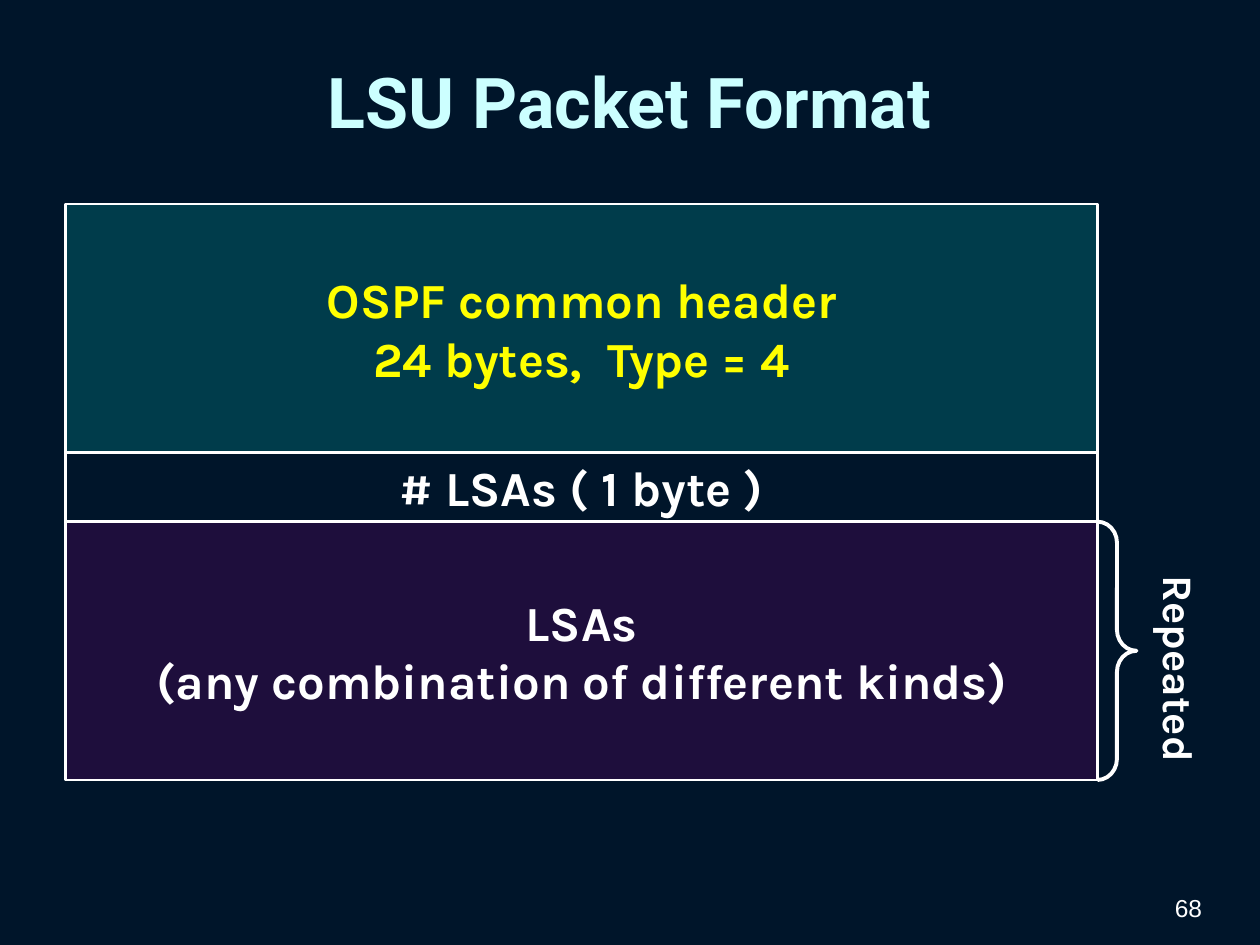
from lxml import etree
from pptx import Presentation
from pptx.dml.color import RGBColor
from pptx.enum.shapes import MSO_SHAPE
from pptx.enum.text import MSO_ANCHOR, PP_ALIGN
from pptx.oxml.ns import qn
from pptx.util import Inches, Pt

RECTANGLE, BRACE = MSO_SHAPE.RECTANGLE, MSO_SHAPE.RIGHT_BRACE
CENTER, RIGHT = PP_ALIGN.CENTER, PP_ALIGN.RIGHT
MIDDLE, BOTTOM, TOP = MSO_ANCHOR.MIDDLE, MSO_ANCHOR.BOTTOM, MSO_ANCHOR.TOP

# Content: packet fields from top to bottom (text, height, fill, text colour)
TITLE = "LSU Packet Format"
FIELDS = [
    ("OSPF common header\n24 bytes,  Type = 4", 1.97, "teal", "yellow"),
    ("# LSAs ( 1 byte )", 0.55, None, "white"),
    ("LSAs\n(any combination of different kinds)", 2.05, "purple", "white"),
]
REPEAT_LABEL = "Repeated"
PAGE_NUMBER = "68"

THEME = {
    "background": "00152A", "title": "CCFFFF", "white": "FFFFFF",
    "yellow": "FFFF00", "teal": "009999", "purple": "660066",
    "fill_opacity": 30,
    "title_font": "Roboto", "body_font": "Karla", "number_font": "Arial",
    "title_size": 40, "field_size": 28, "label_size": 24, "number_size": 14,
}
PACKET_LEFT, PACKET_TOP, PACKET_WIDTH = 0.52, 1.62, 8.19


def color(name):
    return RGBColor.from_string(THEME[name])


def write(shape, text, role, size, ink, align=CENTER, anchor=MIDDLE, bold=True):
    frame = shape.text_frame
    frame.text = text
    frame.vertical_anchor = anchor
    for paragraph in frame.paragraphs:
        paragraph.alignment = align
        for run in paragraph.runs:
            run.font.name = THEME[role]
            run.font.size = Pt(THEME[size])
            run.font.bold = bold
            run.font.color.rgb = color(ink)


def add_outlined(slide, preset, box, line_width, fill=None):
    shape = slide.shapes.add_shape(preset, *map(Inches, box))
    shape.shadow.inherit = False
    shape.line.color.rgb = color("white")
    shape.line.width = Pt(line_width)
    if fill:
        shape.fill.solid()
        shape.fill.fore_color.rgb = color(fill)
        tint = shape.fill._xPr.find(qn("a:solidFill"))[0]
        alpha = etree.SubElement(tint, qn("a:alpha"))
        alpha.set("val", str(THEME["fill_opacity"] * 1000))
    else:
        shape.fill.background()
    return shape


def main():
    prs = Presentation()
    prs.slide_width, prs.slide_height = Inches(10), Inches(7.5)
    slide = prs.slides.add_slide(prs.slide_layouts[5])
    slide.background.fill.solid()
    slide.background.fill.fore_color.rgb = color("background")

    # Title
    title = slide.shapes.title
    title.left, title.top = Inches(0.35), Inches(0.13)
    title.width, title.height = Inches(9.29), Inches(1.34)
    write(title, TITLE, "title_font", "title_size", "title")

    # Stacked packet fields
    top = PACKET_TOP
    for text, height, fill, ink in FIELDS:
        field = add_outlined(slide, RECTANGLE,
                             (PACKET_LEFT, top, PACKET_WIDTH, height), 1.5, fill)
        field.text_frame.word_wrap = False
        write(field, text, "body_font", "field_size", ink)
        top += height

    # Brace and vertical label beside the last field
    brace_height = FIELDS[-1][1]
    brace = add_outlined(slide, BRACE, (PACKET_LEFT + PACKET_WIDTH,
                                        top - brace_height, 0.31, brace_height), 2.25)
    brace.adjustments[0] = 0.54
    brace.adjustments[1] = 0.5
    label = slide.shapes.add_textbox(Inches(9.02), Inches(4.47), Inches(0.6), Inches(1.49))
    label.text_frame.word_wrap = False
    label.text_frame._txBody.bodyPr.set("vert", "eaVert")
    write(label, REPEAT_LABEL, "body_font", "label_size", "white", anchor=TOP)

    # Page number
    number = slide.shapes.add_textbox(Inches(7.31), Inches(6.9), Inches(2.33), Inches(0.47))
    number.text_frame.word_wrap = True
    write(number, PAGE_NUMBER, "number_font", "number_size", "white",
          RIGHT, BOTTOM, bold=False)

    prs.save("out.pptx")


if __name__ == "__main__":
    main()
